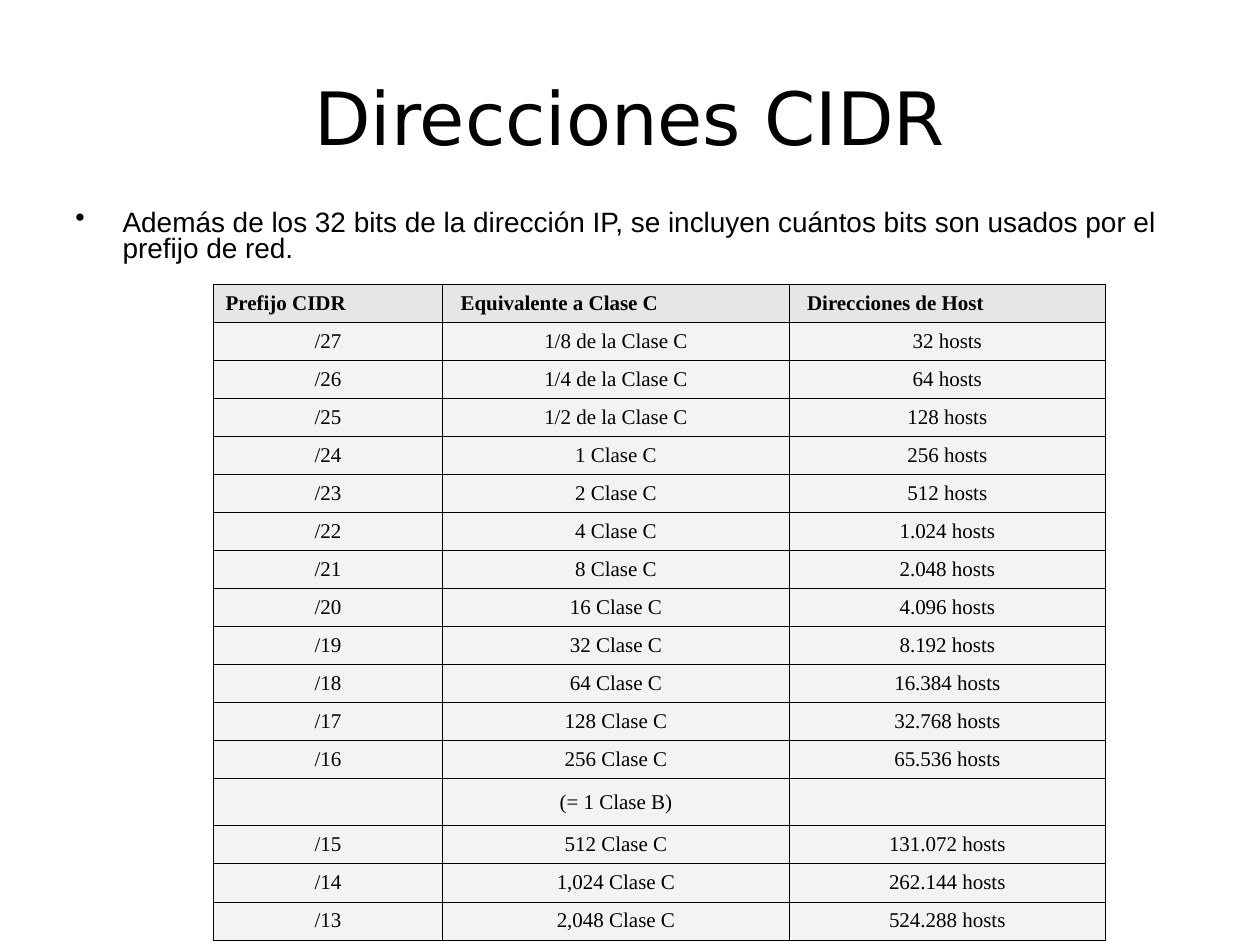
from dataclasses import dataclass

from lxml.etree import SubElement
from pptx import Presentation
from pptx.dml.color import RGBColor
from pptx.enum.text import MSO_ANCHOR as Anchor, PP_ALIGN as Align
from pptx.oxml.ns import qn
from pptx.util import Pt

COLORS = {"text": "000000", "border": "000000", "header": "E6E6E6", "body": "F3F3F3"}
COLUMN_WIDTHS = (131.25, 198, 180.75)
ROW_HEIGHT = 21.77
NOTE_ROW_HEIGHT = 27
BORDER_WIDTH = 0.45
HANGING_INDENT = 27
HEADERS = ("Prefijo CIDR ", " Equivalente a Clase C", " Direcciones de Host")
ROWS = (
    ("/27", "1/8 de la Clase C", "32 hosts"),
    ("/26", "1/4 de la Clase C", "64 hosts"),
    ("/25", "1/2 de la Clase C", "128 hosts"),
    ("/24", "1 Clase C", "256 hosts"),
    ("/23", "2 Clase C", "512 hosts"),
    ("/22", "4 Clase C", "1.024 hosts"),
    ("/21", "8 Clase C", "2.048 hosts"),
    ("/20", "16 Clase C", "4.096 hosts"),
    ("/19", "32 Clase C", "8.192 hosts"),
    ("/18", "64 Clase C", "16.384 hosts"),
    ("/17", "128 Clase C", "32.768 hosts"),
    ("/16", "256 Clase C", "65.536 hosts"),
    ("", "(= 1 Clase B)", ""),
    ("/15", "512 Clase C", "131.072 hosts"),
    ("/14", "1,024 Clase C", "262.144 hosts"),
    ("/13", "2,048 Clase C", "524.288 hosts"),
)


@dataclass(frozen=True)
class TextStyle:
    font: str
    size: float
    align: Align
    bold: bool = False
    hanging: bool = False
    bullet: str = ""
    line_spacing: float = 1.0


@dataclass(frozen=True)
class Box:
    left: float
    top: float
    width: float
    height: float


TITLE = TextStyle("DejaVu Sans", 42, Align.CENTER)
BULLET = TextStyle("Arial", 16, Align.LEFT, hanging=True, bullet="•", line_spacing=0.8)
HEADER_CELL = TextStyle("Times New Roman", 12, Align.JUSTIFY, bold=True, hanging=True)
BODY_CELL = TextStyle("Times New Roman", 12, Align.CENTER, hanging=True)


def write_paragraph(paragraph, text: str, style: TextStyle) -> None:
    """Fill a paragraph with text in the given style."""
    paragraph.text = text
    paragraph.alignment = style.align
    paragraph.line_spacing = style.line_spacing
    properties = paragraph._p.get_or_add_pPr()
    if style.hanging:
        properties.set("marL", str(Pt(HANGING_INDENT)))
        properties.set("indent", str(-Pt(HANGING_INDENT)))
    if style.bullet:
        color = SubElement(properties, qn("a:buClr"))
        SubElement(color, qn("a:srgbClr"), val=COLORS["text"])
        SubElement(properties, qn("a:buChar"), char=style.bullet)
    font = paragraph.font
    font.name = style.font
    font.size = Pt(style.size)
    font.bold = style.bold
    font.color.rgb = RGBColor.from_string(COLORS["text"])


def add_text(slide, box: Box, text: str, style: TextStyle, anchor: Anchor) -> None:
    """Add a wrapped text box with one paragraph."""
    shape = slide.shapes.add_textbox(Pt(box.left), Pt(box.top), Pt(box.width), Pt(box.height))
    frame = shape.text_frame
    frame.word_wrap = True
    frame.vertical_anchor = anchor
    write_paragraph(frame.paragraphs[0], text, style)


def add_borders(cell) -> None:
    """Draw a thin line on all four sides of a cell."""
    properties = cell._tc.get_or_add_tcPr()
    for side in ("lnL", "lnR", "lnT", "lnB"):
        line = SubElement(properties, qn(f"a:{side}"), w=str(Pt(BORDER_WIDTH)))
        fill = SubElement(line, qn("a:solidFill"))
        SubElement(fill, qn("a:srgbClr"), val=COLORS["border"])


def format_cell(cell, text: str, style: TextStyle, fill: str) -> None:
    """Write one table cell with its borders and fill."""
    cell.vertical_anchor = Anchor.MIDDLE
    add_borders(cell)
    cell.fill.solid()
    cell.fill.fore_color.rgb = RGBColor.from_string(fill)
    write_paragraph(cell.text_frame.paragraphs[0], text, style)
    if not text:
        cell.margin_top = cell.margin_bottom = Pt(0)


def add_prefix_table(slide, left: float, top: float) -> None:
    """Add the table of CIDR prefixes."""
    lines = (HEADERS, *ROWS)
    heights = [ROW_HEIGHT if all(line) else NOTE_ROW_HEIGHT for line in lines]
    table = slide.shapes.add_table(
        len(lines), len(HEADERS), Pt(left), Pt(top), Pt(sum(COLUMN_WIDTHS)), Pt(sum(heights))
    ).table
    table.first_row = table.horz_banding = False
    for column, width in zip(table.columns, COLUMN_WIDTHS):
        column.width = Pt(width)
    for index, (row, height, line) in enumerate(zip(table.rows, heights, lines)):
        row.height = Pt(height)
        style, fill = (BODY_CELL, COLORS["body"]) if index else (HEADER_CELL, COLORS["header"])
        for cell, text in zip(row.cells, line):
            format_cell(cell, text, style, fill)


def main() -> None:
    """Build the slide on CIDR addresses."""
    presentation = Presentation()
    presentation.slide_width, presentation.slide_height = Pt(720), Pt(540)
    slide = presentation.slides.add_slide(presentation.slide_layouts[6])
    add_text(slide, Box(36, 21.6, 648, 90), "Direcciones CIDR", TITLE, Anchor.MIDDLE)
    add_prefix_table(slide, 121.75, 162.25)
    add_text(
        slide,
        Box(36, 116.75, 648, 356.5),
        "Además de los 32 bits de la dirección IP, se incluyen cuántos bits "
        "son usados por el prefijo de red.",
        BULLET,
        Anchor.TOP,
    )
    presentation.save("out.pptx")


if __name__ == "__main__":
    main()
